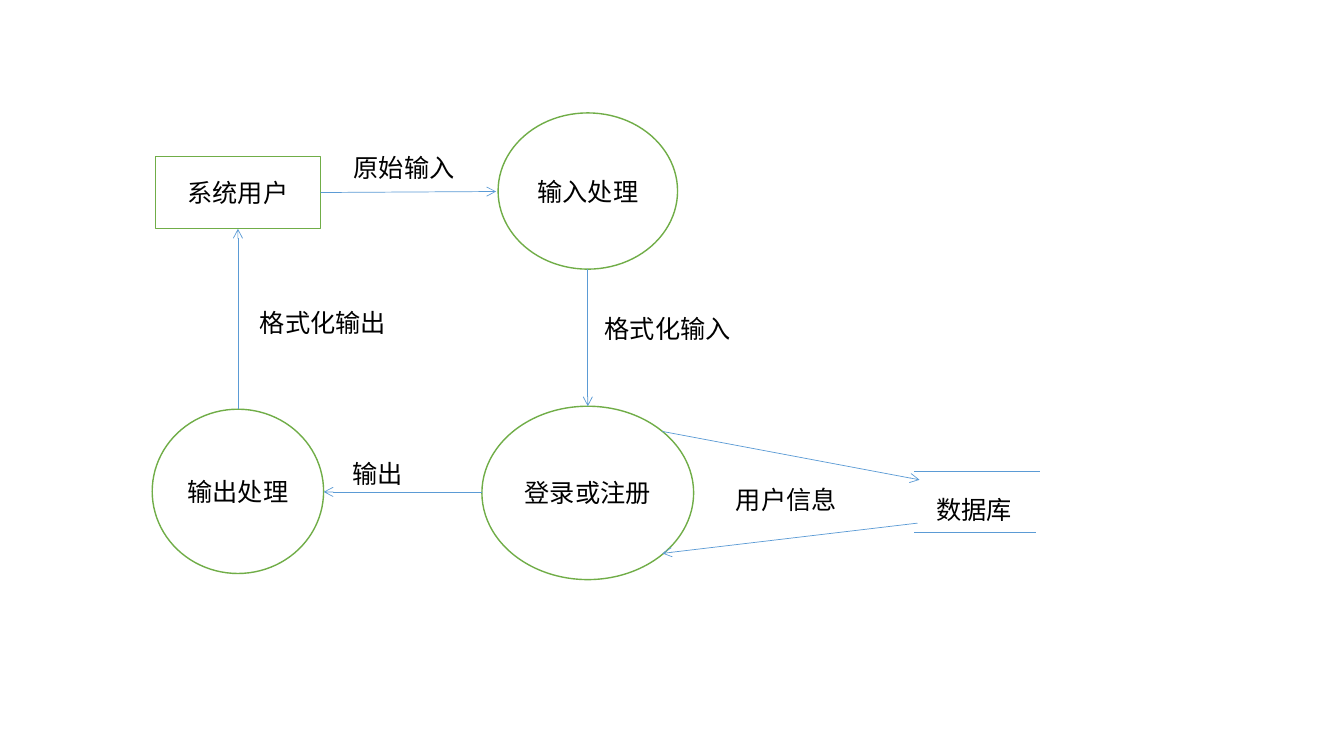
import pptx
import pptx.dml.color
import pptx.enum.shapes
import pptx.enum.text
import pptx.oxml
import pptx.oxml.ns
import pptx.util
from pptx.util import Inches

COLORS = {"background": "FFFFFF", "node": "70AD47", "flow": "5B9BD5", "text": "000000"}
FONT = "Calibri"
RECTANGLE = pptx.enum.shapes.MSO_SHAPE.RECTANGLE
OVAL = pptx.enum.shapes.MSO_SHAPE.OVAL


def color(name):
    """Return the named colour."""
    return pptx.dml.color.RGBColor.from_string(COLORS[name])


def write_text(shape, text):
    """Write one line of black 18 point text into a shape."""
    shape.text_frame.text = text
    paragraph = shape.text_frame.paragraphs[0]
    font = paragraph.runs[0].font
    font.name = FONT
    font.size = pptx.util.Pt(18)
    font.color.rgb = color("text")
    return paragraph


def add_node(slide, kind, box, text):
    """Draw an outlined node with centred text."""
    shape = slide.shapes.add_shape(kind, *map(Inches, box))
    shape.shadow.inherit = False
    shape.fill.solid()
    shape.fill.fore_color.rgb = color("background")
    shape.line.color.rgb = color("node")
    shape.line.width = pptx.util.Pt(1)
    shape.text_frame.vertical_anchor = pptx.enum.text.MSO_ANCHOR.MIDDLE
    write_text(shape, text).alignment = pptx.enum.text.PP_ALIGN.CENTER


def add_label(slide, left, top, width, text):
    """Write a left-aligned label."""
    label = slide.shapes.add_textbox(*map(Inches, (left, top, width, 0.4)))
    label.text_frame.word_wrap = True
    label.text_frame.auto_size = pptx.enum.text.MSO_AUTO_SIZE.SHAPE_TO_FIT_TEXT
    write_text(label, text)


def add_line(slide, start, end, arrow=True):
    """Draw a thin line, with an open arrowhead at its end if wanted."""
    line = slide.shapes.add_connector(
        pptx.enum.shapes.MSO_CONNECTOR.STRAIGHT, *map(Inches, (*start, *end)))
    line.line.color.rgb = color("flow")
    line.line.width = pptx.util.Pt(0.5)
    properties = line._element.spPr
    if arrow:
        outline = properties.find(pptx.oxml.ns.qn("a:ln"))
        outline.append(pptx.oxml.parse_xml(
            f'<a:tailEnd {pptx.oxml.ns.nsdecls("a")} type="arrow"/>'))
    properties.append(pptx.oxml.parse_xml(
        f'<a:effectLst {pptx.oxml.ns.nsdecls("a")}/>'))


def add_processing_loop(slide, left, top):
    """Draw the user, the three processes and the flows between them."""
    nodes = [
        (RECTANGLE, 0.04, 0.45, 1.64, 0.72, "系统用户"),
        (OVAL, 3.44, 0.02, 1.78, 1.55, "输入处理"),
        (OVAL, 0.01, 2.96, 1.7, 1.63, "输出处理"),
        (OVAL, 3.28, 2.93, 2.1, 1.72, "登录或注册"),
    ]
    flows = [
        ((1.68, 0.81), (3.42, 0.8), (1.91, 0.36, 1.31), "原始输入"),
        ((4.33, 1.57), (4.33, 2.93), (4.4, 1.96, 1.87), "格式化输入"),
        ((3.28, 3.78), (1.71, 3.78), (1.9, 3.4, 1.19), "输出"),
        ((0.86, 2.96), (0.86, 1.17), (0.98, 1.9, 1.73), "格式化输出"),
    ]
    for kind, x, y, width, height, text in nodes:
        add_node(slide, kind, (left + x, top + y, width, height), text)
    for start, end, (x, y, width), text in flows:
        add_line(slide, *((left + a, top + b) for a, b in (start, end)))
        add_label(slide, left + x, top + y, width, text)


def add_database(slide, left, top):
    """Draw the data store between its two open lines."""
    for y, width in ((0, 1.25), (0.6, 1.21)):
        add_line(slide, (left, top + y), (left + width, top + y), arrow=False)
    add_label(slide, left + 0.12, top + 0.17, 1, "数据库")


def add_user_information(slide, left, top):
    """Draw the two-way exchange between the login process and the database."""
    add_line(slide, (left, top), (left + 2.55, top + 0.48))
    add_line(slide, (left + 2.53, top + 0.91), (left, top + 1.21))
    add_label(slide, left + 0.63, top + 0.48, 1.23, "用户信息")


def main():
    """Build the data flow slide."""
    presentation = pptx.Presentation()
    presentation.slide_width = Inches(13.33)
    presentation.slide_height = Inches(7.5)
    slide = presentation.slides.add_slide(presentation.slide_layouts[6])
    slide.background.fill.solid()
    slide.background.fill.fore_color.rgb = color("background")
    add_processing_loop(slide, 1.5, 1.1)
    add_database(slide, 9.07, 4.68)
    add_user_information(slide, 6.57, 4.28)
    presentation.save("out.pptx")


main()
